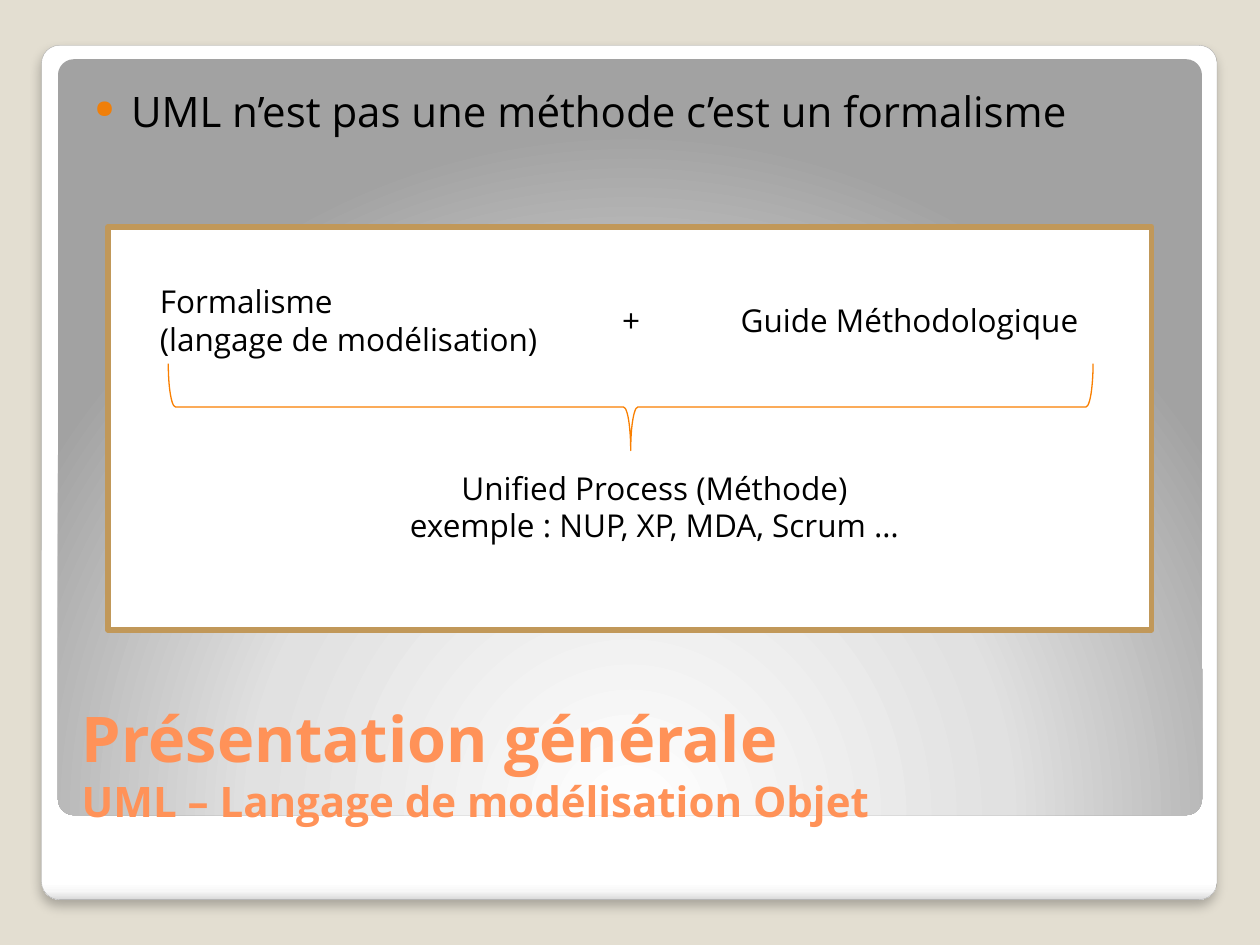
from lxml import etree
from pptx import Presentation
from pptx.dml.color import RGBColor
from pptx.enum.shapes import MSO_SHAPE as Shape
from pptx.enum.text import MSO_ANCHOR as Anchor, MSO_AUTO_SIZE as AutoSize, PP_ALIGN as Align
from pptx.oxml import parse_xml
from pptx.oxml.ns import nsdecls, qn
from pptx.util import Inches, Pt

THEME = {
    "font": "Open Sans",
    "background": "E3DED1", "white": "FFFFFF", "text": "000000",
    "title": "FF9258", "bullet": "F07F09", "brace": "F97F00",
    "box_line": "C19859", "card_line": "A4A4A4",
    "card_stops": [(0, "FFFFFF"), (98, "FFFFFF"), (99, "F7F7F7"), (100, "DADADA")],
    "panel_stops": [(0, "FFFFFF"), (55, "E1E1E1"), (100, "A2A2A2")],
    "title_size": 36, "subtitle_size": 24, "body_size": 24, "label_size": 18,
}

prs = Presentation()
prs.slide_width, prs.slide_height = Inches(10), Inches(7.5)
slide = prs.slides.add_slide(prs.slide_layouts[6])
slide.background.fill.solid()
slide.background.fill.fore_color.rgb = RGBColor.from_string(THEME["background"])


def add_figure(kind, at, fill=None, line=None, width=0):
    figure = slide.shapes.add_shape(kind, *map(Inches, at))
    figure.shadow.inherit = False
    if fill:
        figure.fill.solid()
        figure.fill.fore_color.rgb = RGBColor.from_string(fill)
    else:
        figure.fill.background()
    if line:
        figure.line.color.rgb = RGBColor.from_string(line)
        figure.line.width = Pt(width)
    else:
        figure.line.fill.background()
    return figure


def add_text(at, lines, sizes, color="text", bold=False, align=Align.LEFT):
    box = slide.shapes.add_textbox(*map(Inches, at))
    box.text_frame.word_wrap = True
    paragraph = box.text_frame.paragraphs[0]
    paragraph.text = "\v".join(lines)
    paragraph.alignment = align
    for run, size in zip(paragraph.runs, sizes):
        run.font.name = THEME["font"]
        run.font.size = Pt(size)
        run.font.bold = bold
        run.font.color.rgb = RGBColor.from_string(THEME[color])
    return box


card = add_figure(Shape.ROUNDED_RECTANGLE, (0.33, 0.36, 9.33, 6.78),
                  THEME["white"], THEME["card_line"], 0.16)
panel = add_figure(Shape.ROUNDED_RECTANGLE, (0.46, 0.47, 9.08, 6), THEME["white"])
shadings = [
    (card, "card_stops", '<a:lin ang="5400000" scaled="0"/>'),
    (panel, "panel_stops", '<a:path path="circle"><a:fillToRect l="50000" t="175000" '
                           'r="50000" b="-75000"/></a:path>'),
]
for figure, stops, direction in shadings:
    figure.adjustments[0] = 0.021
    marks = "".join(f'<a:gs pos="{pos * 1000}"><a:srgbClr val="{color}"/></a:gs>'
                    for pos, color in THEME[stops])
    properties = figure.element.spPr
    properties.replace(properties.find(qn("a:solidFill")), parse_xml(
        f'<a:gradFill {nsdecls("a")} rotWithShape="1"><a:gsLst>{marks}</a:gsLst>{direction}</a:gradFill>'))

card.element.spPr.find(qn("a:effectLst")).append(parse_xml(
    f'<a:outerShdw {nsdecls("a")} blurRad="{Pt(6)}" dist="{Pt(4)}" dir="5400000" algn="t" '
    'rotWithShape="0"><a:srgbClr val="000000"><a:alpha val="25000"/></a:srgbClr></a:outerShdw>'))

title = add_text((0.55, 5.45, 8.95, 1.15),
                 ["Présentation générale", "UML – Langage de modélisation Objet"],
                 [THEME["title_size"], THEME["subtitle_size"]], "title", bold=True)
title.text_frame.vertical_anchor = Anchor.BOTTOM

statement = add_text((0.55, 0.58, 8.95, 4.58),
                     ["UML n’est pas une méthode c’est un formalisme"], [THEME["body_size"]])
statement.text_frame.margin_left = Inches(0.2)
statement.text_frame.margin_top = Inches(0.1)
bullet_line = statement.text_frame.paragraphs[0]
bullet_line.space_before = Pt(2.5)
bullet = bullet_line._p.get_or_add_pPr()
bullet.set("marL", str(Inches(0.29)))
bullet.set("indent", str(Inches(-0.29)))
color = etree.SubElement(bullet, qn("a:buClr"))
etree.SubElement(color, qn("a:srgbClr"), val=THEME["bullet"])
etree.SubElement(bullet, qn("a:buSzPct"), val="60000")
etree.SubElement(bullet, qn("a:buChar"), char="●")

add_figure(Shape.RECTANGLE, (0.86, 1.8, 8.28, 3.2), THEME["white"], THEME["box_line"], 3.35)
brace = add_figure(Shape.RIGHT_BRACE, (4.66, -0.44, 0.69, 7.34), line=THEME["brace"], width=0.75)
brace.rotation = 90

labels = [
    ((1.17, 2.19, 3.52, 0.71), ["Formalisme", "(langage de modélisation)"], Align.LEFT),
    ((4.84, 2.34, 0.86, 0.4), ["+"], Align.LEFT),
    ((5.78, 2.34, 3.28, 0.4), ["Guide Méthodologique"], Align.LEFT),
    ((2.11, 3.67, 6.17, 0.71),
     ["Unified Process (Méthode)", "exemple : NUP, XP, MDA, Scrum …"], Align.CENTER),
]
for at, lines, align in labels:
    label = add_text(at, lines, [THEME["label_size"]] * len(lines), align=align)
    label.text_frame.auto_size = AutoSize.SHAPE_TO_FIT_TEXT

prs.save("out.pptx")
